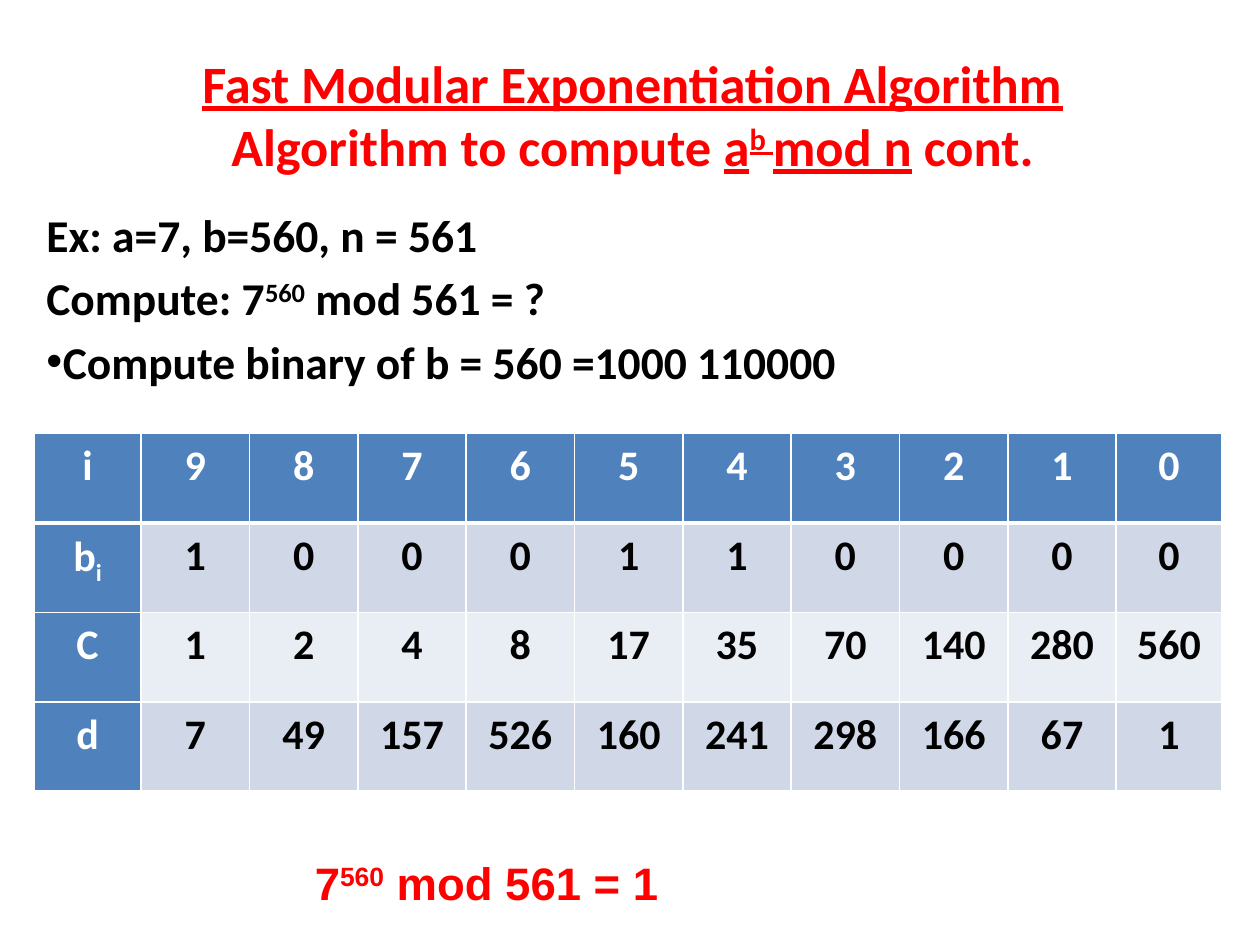
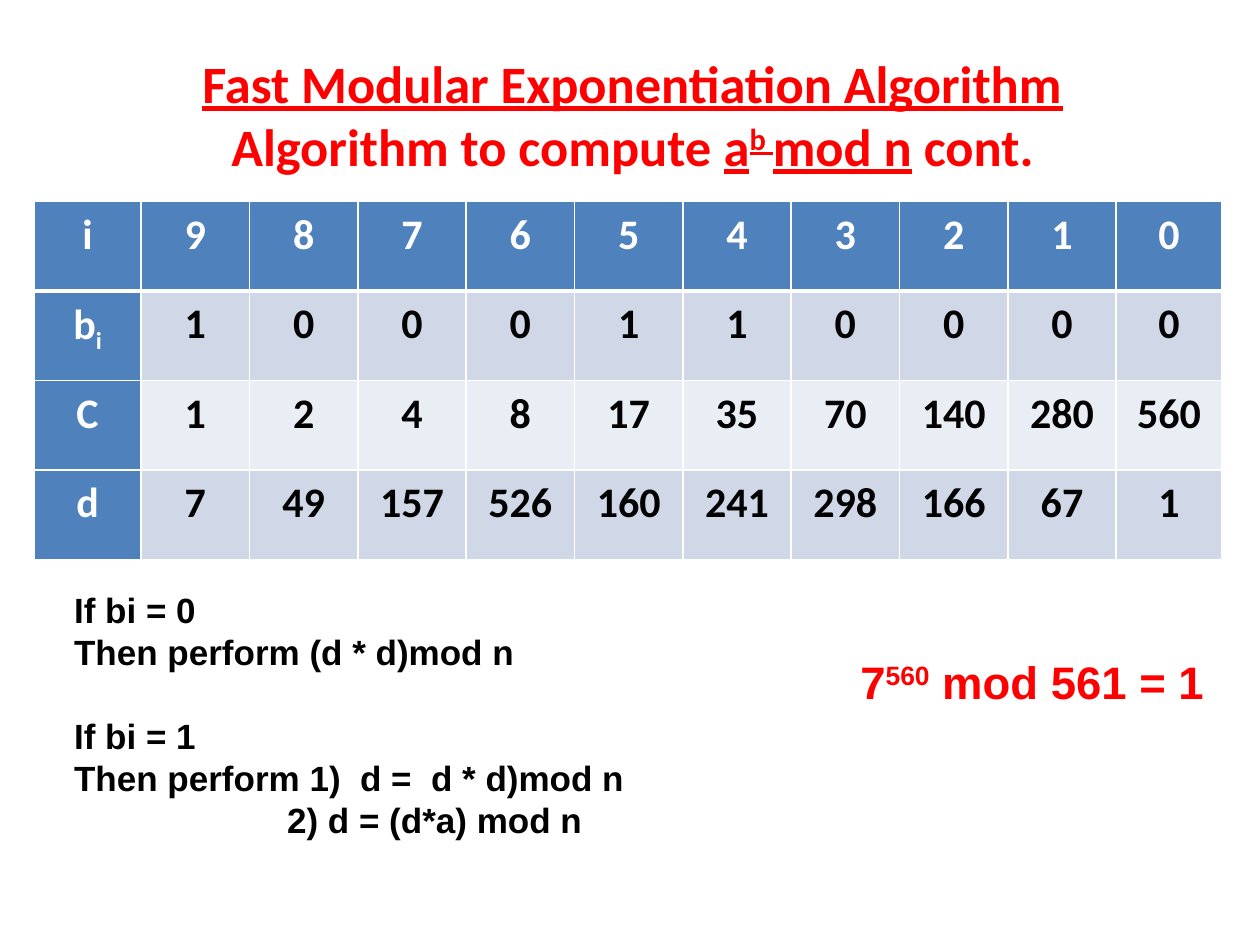
from dataclasses import dataclass, replace
from typing import Optional

import lxml.etree
import pptx
import pptx.dml.color
import pptx.enum.text
import pptx.oxml.ns
import pptx.presentation
import pptx.slide
import pptx.table
import pptx.text.text
import pptx.util

Inches = pptx.util.Inches
Pt = pptx.util.Pt
Align = pptx.enum.text.PP_ALIGN
Anchor = pptx.enum.text.MSO_ANCHOR

RED, BLACK, WHITE = "FF0000", "000000", "FFFFFF"
HEADER_BLUE, BAND_DARK, BAND_LIGHT = "4F81BD", "D0D8E8", "E9EDF4"

TABLE_LEFT = 0.27
COLUMN_WIDTHS = [0.85] + [0.86] * 9 + [0.84]
ROW_HEIGHT = 0.71
STEPS = [
    ["i", 9, 8, 7, 6, 5, 4, 3, 2, 1, 0],
    ["b", 1, 0, 0, 0, 1, 1, 0, 0, 0, 0],
    ["C", 1, 2, 4, 8, 17, 35, 70, 140, 280, 560],
    ["d", 7, 49, 157, 526, 160, 241, 298, 166, 67, 1],
]


@dataclass(frozen=True)
class Span:
    text: str
    baseline: int = 0
    underline: bool = False
    break_after: bool = False


@dataclass(frozen=True)
class Line:
    """One paragraph; lengths in inches, spacing in points or as a factor."""
    spans: tuple[Span, ...]
    align: Align = Align.LEFT
    space_before: float = 0
    spacing: Optional[float | pptx.util.Length] = None
    indent: float = 0
    bullet: str = ""


@dataclass(frozen=True)
class Area:
    left: float
    top: float
    width: float
    height: float


TITLE_AREA = Area(0.52, 0.21, 9, 1.39)
TITLE = Line((
    Span("Fast Modular Exponentiation Algorithm", underline=True, break_after=True),
    Span("Algorithm to compute "),
    Span("a", underline=True),
    Span("b ", baseline=30, underline=True),
    Span("mod n", underline=True),
    Span(" cont."),
), align=Align.CENTER)
EXAMPLE = [
    Line((Span("Ex: a=7, b=560, n = 561"),)),
    Line((Span("Compute: 7"), Span("560", baseline=30), Span(" mod 561 = ?")),
         space_before=5.2),
    Line((Span("Compute binary of b = 560 =1000 110000"),),
         space_before=5.2, indent=0.13, bullet="•"),
]
RESULT = Line((Span("7"), Span("560", baseline=30), Span(" mod 561 = 1")),
              spacing=Pt(31))
RULES = [
    Line((Span("If bi = 0"),)),
    Line((Span("Then perform (d * d)mod n"),)),
    Line((Span("If bi = 1"),), space_before=24),
    Line((Span("Then perform 1)  d =  d * d)mod n"),)),
    Line((Span("2) d = (d*a) mod n"),), indent=1.69),
]


def rgb(color: str) -> pptx.dml.color.RGBColor:
    return pptx.dml.color.RGBColor.from_string(color)


def add_child(parent, tag: str, **attributes: str):
    return lxml.etree.SubElement(parent, pptx.oxml.ns.qn(tag), attributes)


def write_text(frame: pptx.text.text.TextFrame, lines: list[Line], *,
               size: float, color: str, font: str = "Calibri") -> None:
    for index, line in enumerate(lines):
        para = frame.add_paragraph() if index else frame.paragraphs[0]
        para.alignment = line.align
        para.space_before = Pt(line.space_before)
        if line.spacing:
            para.line_spacing = line.spacing
        properties = para._p.get_or_add_pPr()
        properties.set("marL", str(Inches(line.indent)))
        if line.bullet:
            properties.set("indent", str(-Inches(line.indent)))
            bullet_color = add_child(properties, "a:buClr")
            add_child(bullet_color, "a:srgbClr", val=color)
            add_child(properties, "a:buFont", typeface="Arial")
            add_child(properties, "a:buChar", char=line.bullet)
        for span in line.spans:
            run = para.add_run()
            run.text = span.text
            run.font.name = font
            run.font.size = Pt(size)
            run.font.bold = True
            run.font.underline = span.underline
            run.font.color.rgb = rgb(color)
            if span.baseline:
                run.font._element.set("baseline", str(span.baseline * 1000))
            if span.break_after:
                para.add_line_break()


def add_text(slide: pptx.slide.Slide, area: Area, lines: list[Line], *,
             size: float, color: str, font: str = "Calibri",
             anchor: Anchor = Anchor.TOP) -> None:
    box = slide.shapes.add_textbox(Inches(area.left), Inches(area.top),
                                   Inches(area.width), Inches(area.height))
    frame = box.text_frame
    frame.word_wrap = True
    frame.vertical_anchor = anchor
    write_text(frame, lines, size=size, color=color, font=font)


def set_borders(cell: pptx.table._Cell, row: int) -> None:
    """White 1 pt borders, with a 3 pt rule below the header row."""
    widths = {"L": 1, "R": 1, "T": 3 if row == 1 else 1, "B": 3 if row == 0 else 1}
    properties = cell._tc.get_or_add_tcPr()
    for side, width in widths.items():
        border = add_child(properties, f"a:ln{side}", w=str(Pt(width)))
        fill = add_child(border, "a:solidFill")
        add_child(fill, "a:srgbClr", val=WHITE)


def add_steps_table(slide: pptx.slide.Slide, top: float) -> None:
    frame = slide.shapes.add_table(
        len(STEPS), len(COLUMN_WIDTHS), Inches(TABLE_LEFT), Inches(top),
        Inches(sum(COLUMN_WIDTHS)), Inches(ROW_HEIGHT * len(STEPS)))
    table = frame.table
    for column, width in zip(table.columns, COLUMN_WIDTHS):
        column.width = Inches(width)
    for row, values in enumerate(STEPS):
        table.rows[row].height = Inches(ROW_HEIGHT)
        band = BAND_DARK if row % 2 else BAND_LIGHT
        for column, value in enumerate(values):
            cell = table.cell(row, column)
            is_header = row == 0 or column == 0
            cell.margin_left = cell.margin_right = Inches(0.07)
            cell.margin_top = cell.margin_bottom = 0
            set_borders(cell, row)
            cell.fill.solid()
            cell.fill.fore_color.rgb = rgb(HEADER_BLUE if is_header else band)
            spans = (Span(str(value)),)
            if value == "b":
                spans += (Span("i", baseline=-25),)
            write_text(cell.text_frame,
                       [Line(spans, align=Align.CENTER, spacing=1.15)],
                       size=24, color=WHITE if is_header else BLACK)


def add_titled_slide(deck: pptx.presentation.Presentation) -> pptx.slide.Slide:
    slide = deck.slides.add_slide(deck.slide_layouts[6])
    add_text(slide, TITLE_AREA, [TITLE], size=30, color=RED, anchor=Anchor.MIDDLE)
    return slide


def add_result(slide: pptx.slide.Slide, left: float, top: float) -> None:
    add_text(slide, Area(left, top, 3.62, 0.54), [RESULT],
             size=26, color=RED, font="Arial")


def add_example_slide(deck: pptx.presentation.Presentation) -> None:
    slide = add_titled_slide(deck)
    add_text(slide, Area(0.27, 1.59, 9.73, 5.91), EXAMPLE, size=26, color=BLACK)
    add_steps_table(slide, top=3.44)
    add_result(slide, left=2.4, top=6.74)


def add_rules_slide(deck: pptx.presentation.Presentation) -> None:
    slide = add_titled_slide(deck)
    add_steps_table(slide, top=1.6)
    add_result(slide, left=6.73, top=5.14)
    add_text(slide, Area(0.49, 4.62, 9, 2.12),
             [replace(line, spacing=Pt(24)) for line in RULES],
             size=20, color=BLACK, font="Arial")


def main() -> None:
    deck = pptx.Presentation()
    deck.slide_width = Inches(10)
    deck.slide_height = Inches(7.5)
    add_example_slide(deck)
    add_rules_slide(deck)
    deck.save("out.pptx")


if __name__ == "__main__":
    main()
